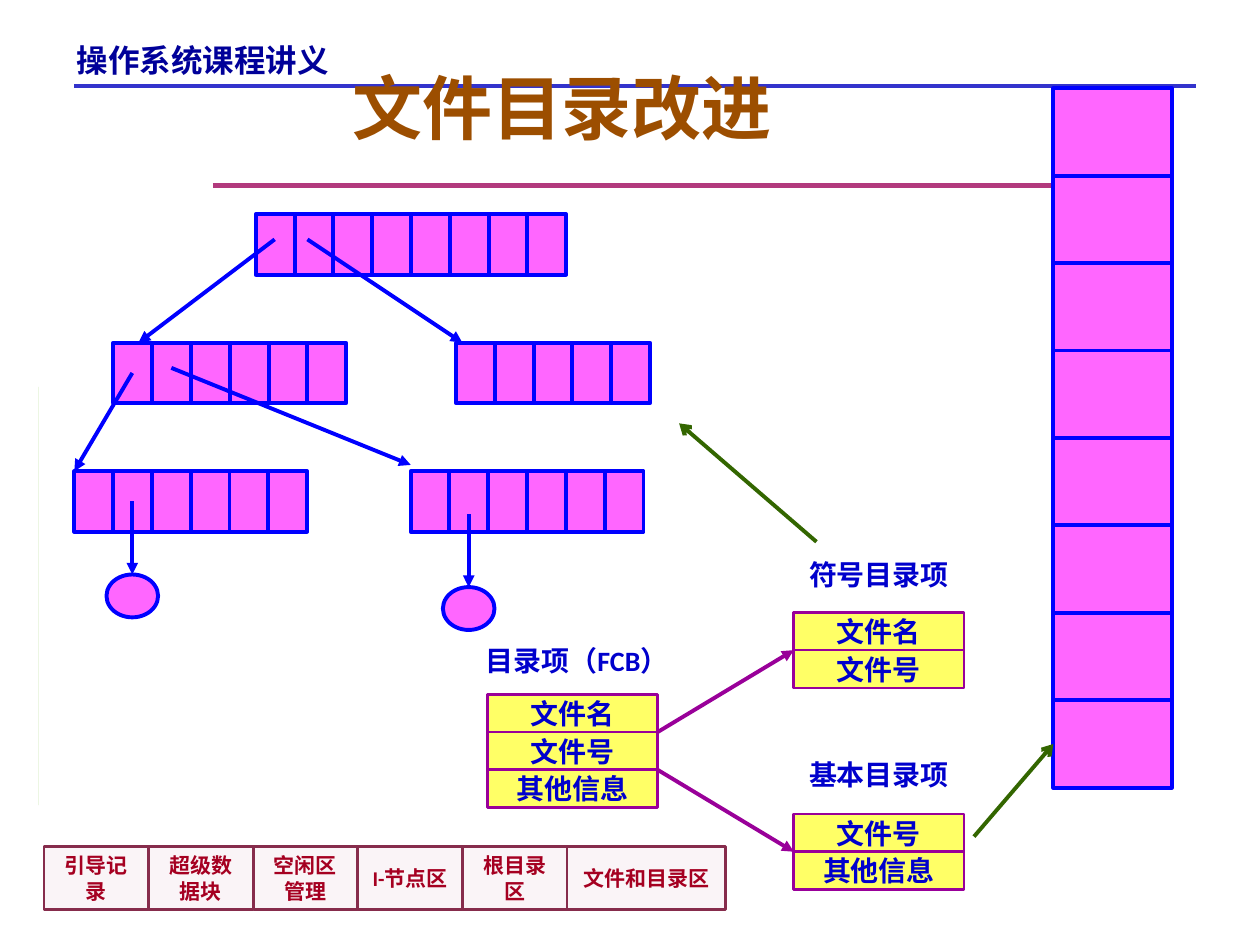
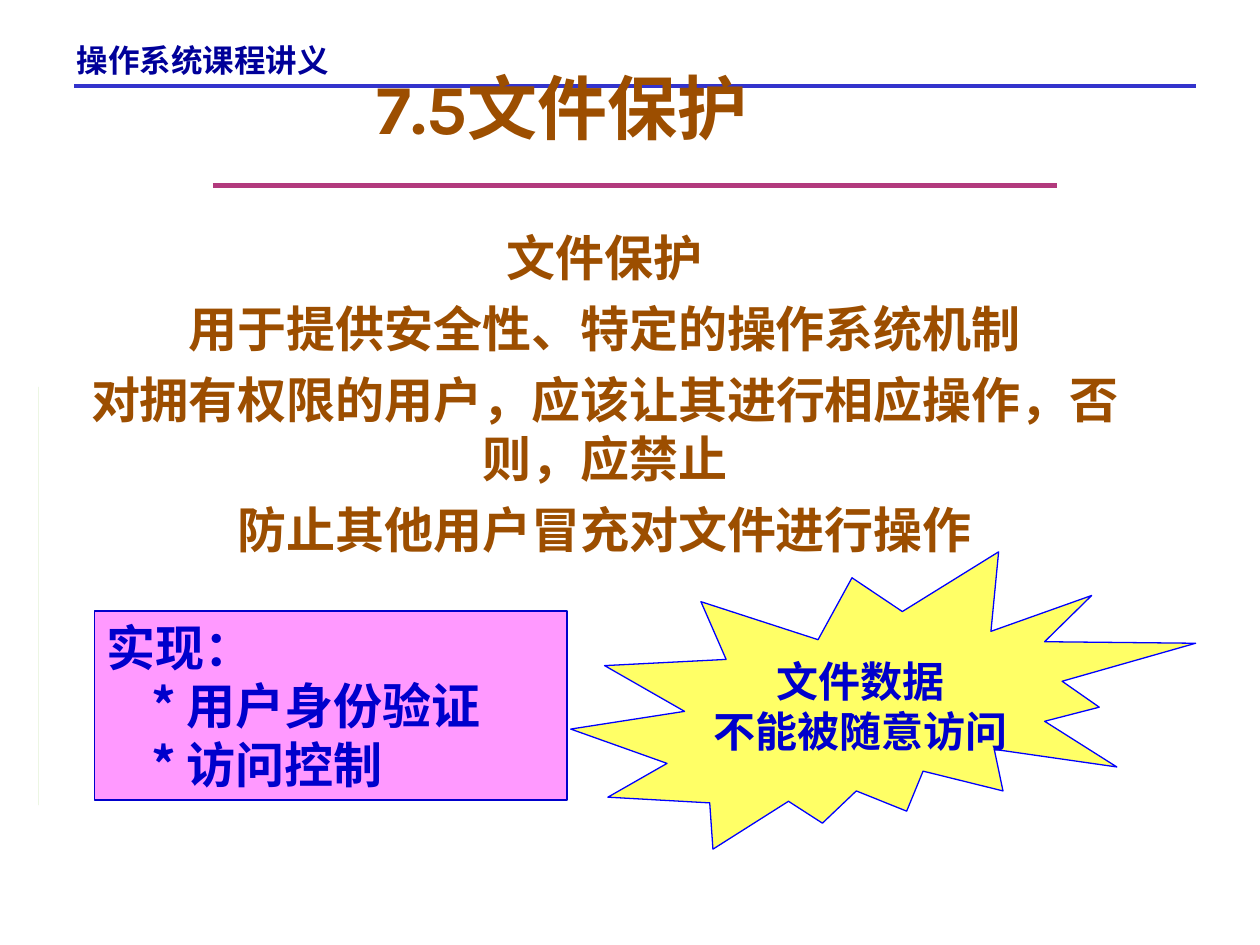
from typing import NamedTuple, Optional, Sequence

from lxml import etree
from pptx import Presentation
from pptx.dml.color import RGBColor
from pptx.enum.shapes import MSO_CONNECTOR, MSO_SHAPE
from pptx.enum.text import MSO_ANCHOR, PP_ALIGN
from pptx.oxml.ns import qn
from pptx.util import Inches, Pt

# Shared colours and fonts
BROWN = RGBColor(0x9C, 0x4E, 0x00)
NAVY = RGBColor(0x00, 0x00, 0x99)
INK = RGBColor(0x00, 0x00, 0xCC)
BLUE = RGBColor(0x00, 0x00, 0xFF)
RULE = RGBColor(0x33, 0x33, 0xCC)
ROSE = RGBColor(0xB2, 0x3A, 0x7D)
LEAF = RGBColor(0x6B, 0xBA, 0x27)
PINK = RGBColor(0xFF, 0x66, 0xFF)
LIGHT_PINK = RGBColor(0xFF, 0x99, 0xFF)
YELLOW = RGBColor(0xFF, 0xFF, 0x66)
PURPLE = RGBColor(0x99, 0x00, 0x99)
GREEN = RGBColor(0x33, 0x66, 0x00)
PALE = RGBColor(0xFA, 0xF4, 0xF7)
MAROON = RGBColor(0x86, 0x2C, 0x4C)
RED = RGBColor(0xA5, 0x00, 0x21)
CJK = "Noto Sans CJK SC"


class TextStyle(NamedTuple):
    size: float
    color: RGBColor
    font: str = "Calibri"
    align: PP_ALIGN = PP_ALIGN.CENTER
    anchor: MSO_ANCHOR = MSO_ANCHOR.MIDDLE
    wrap: bool = True
    space_before: float = 0


class Look(NamedTuple):
    fill: RGBColor
    line: RGBColor
    width: float


class Box(NamedTuple):
    left: float
    top: float
    width: float
    height: float


class Row(NamedTuple):
    left: float
    top: float
    cells: int


class Arrow(NamedTuple):
    x1: float
    y1: float
    x2: float
    y2: float


class Record(NamedTuple):
    left: float
    top: float
    fields: Sequence[str]


HEADER = TextStyle(18, NAVY, "Arial", PP_ALIGN.LEFT, MSO_ANCHOR.TOP)
TITLE = TextStyle(40, BROWN, anchor=MSO_ANCHOR.BOTTOM)
BODY = TextStyle(28, BROWN, anchor=MSO_ANCHOR.TOP, space_before=7)
LABEL = TextStyle(16, INK, anchor=MSO_ANCHOR.TOP, wrap=False)
FIELD = LABEL._replace(anchor=MSO_ANCHOR.MIDDLE)
AREA = TextStyle(12, RED)
NOTE = TextStyle(28, INK, CJK, PP_ALIGN.LEFT, MSO_ANCHOR.TOP)
BURST = TextStyle(24, INK, CJK, wrap=False)

NODE = Look(PINK, BLUE, 2.25)
RECORD = Look(YELLOW, PURPLE, 1.5)
DISK = Look(PALE, MAROON, 1.5)


def write(sp, lines: Sequence[str], style: TextStyle):
    """Fill a shape with paragraphs in one style."""
    tf = sp.text_frame
    tf.word_wrap = style.wrap
    tf.vertical_anchor = style.anchor
    tf.text = "\n".join(lines)
    for i, p in enumerate(tf.paragraphs):
        p.alignment = style.align
        p.line_spacing = Pt(style.size * 1.2)
        if i and style.space_before:
            p.space_before = Pt(style.space_before)
        for r in p.runs:
            r.font.size = Pt(style.size)
            r.font.bold = True
            r.font.name = style.font
            r.font.color.rgb = style.color
            ea = etree.SubElement(r.font._element, qn("a:ea"))
            ea.set("typeface", CJK)
    return sp


def add_text(s, box: Box, lines: Sequence[str], style: TextStyle):
    return write(s.shapes.add_textbox(*map(Inches, box)), lines, style)


def add_block(s, box: Box, look: Look, lines: Sequence[str] = (),
              style: Optional[TextStyle] = None, kind=MSO_SHAPE.RECTANGLE):
    sp = s.shapes.add_shape(kind, *map(Inches, box))
    sp.shadow.inherit = False
    sp.fill.solid()
    sp.fill.fore_color.rgb = look.fill
    sp.line.color.rgb = look.line
    sp.line.width = Pt(look.width)
    if style:
        write(sp, lines, style)
    return sp


def add_line(s, ends: Arrow, color: RGBColor, width: float = 2.25, head: str = ""):
    cn = s.shapes.add_connector(MSO_CONNECTOR.STRAIGHT, *map(Inches, ends))
    cn.line.color.rgb = color
    cn.line.width = Pt(width)
    if head:
        etree.SubElement(cn.line._get_or_add_ln(), qn("a:tailEnd")).set("type", head)
    etree.SubElement(cn._element.spPr, qn("a:effectLst"))
    return cn


def add_frame(prs, title: str, style: TextStyle = TITLE):
    """Start a slide with the course header, rules and title."""
    s = prs.slides.add_slide(prs.slide_layouts[6])
    edge = s.shapes.build_freeform(Inches(0.31), Inches(3.07))
    edge.add_line_segments([(Inches(0.31), Inches(y)) for y in (3.17, 6.39)])
    sp = edge.convert_to_shape()
    sp.shadow.inherit = False
    sp.fill.solid()
    sp.fill.fore_color.rgb = LEAF
    sp.line.fill.background()
    add_line(s, Arrow(0.59, 0.68, 9.49, 0.68), RULE)
    add_text(s, Box(0.51, 0.28, 2.44, 0.24), ["操作系统课程讲义"], HEADER)
    add_line(s, Arrow(1.69, 1.47, 8.39, 1.47), ROSE, 3)
    add_text(s, Box(0.5, 0.35, 7.92, 0.88), [title], style)
    return s


def build_directory(prs):
    s = add_frame(prs, "文件目录改进")

    # Directory tree: rows of cells, then pointers
    cell_w, cell_h = 0.308, 0.48
    for row in (Row(2.03, 1.7, 8), Row(0.9, 2.72, 6), Row(3.62, 2.72, 5),
                Row(0.59, 3.74, 6), Row(3.26, 3.74, 6)):
        for i in range(row.cells):
            add_block(s, Box(row.left + i * cell_w, row.top, cell_w, cell_h), NODE)
    for pointer in (Arrow(2.18, 1.9, 1.1, 2.72), Arrow(2.44, 1.9, 3.67, 2.72),
                    Arrow(1.05, 2.96, 0.59, 3.74), Arrow(1.36, 2.92, 3.26, 3.69)):
        add_line(s, pointer, BLUE, head="triangle")

    # Files at the leaves
    for x, y in ((3.72, 4.08), (1.05, 3.98)):
        leaf = add_block(s, Box(x - 0.205, y + 0.58, 0.41, 0.34), NODE,
                         kind=MSO_SHAPE.OVAL)
        cn = add_line(s, Arrow(x, y, x, y + 0.58), BLUE, head="triangle")
        cn.end_connect(leaf, 0)

    # Column of basic directory entries
    entry_h = 0.694
    entries = [add_block(s, Box(8.36, 0.7 + i * entry_h, 0.94, entry_h), NODE)
               for i in range(8)]

    # Directory entry split into two records
    for box, label in ((Box(3.7, 5.06, 1.76, 0.37), "目录项（FCB）"),
                       (Box(6.32, 4.38, 1.31, 0.37), "符号目录项"),
                       (Box(6.32, 5.96, 1.31, 0.37), "基本目录项")):
        add_text(s, box, [label], LABEL)
    for record in (Record(3.87, 5.51, ("文件名", "文件号", "其他信息")),
                   Record(6.3, 4.86, ("文件名", "文件号")),
                   Record(6.3, 6.46, ("文件号", "其他信息"))):
        for i, field in enumerate(record.fields):
            add_block(s, Box(record.left, record.top + i * 0.3, 1.35, 0.3),
                      RECORD, [field], FIELD)
    add_line(s, Arrow(5.22, 5.81, 6.3, 5.16), PURPLE, head="triangle")
    add_line(s, Arrow(5.22, 6.11, 6.3, 6.76), PURPLE, head="triangle")
    add_line(s, Arrow(6.48, 4.3, 5.39, 3.36), GREEN, head="arrow")
    to_entry = add_line(s, Arrow(7.73, 6.64, 8.36, 5.9), GREEN, head="arrow")
    to_entry.end_connect(entries[-1], 1)

    # Disk layout strip
    areas = ("引导记录", "超级数据块", "空闲区管理", "I-节点区", "根目录区", "文件和目录区")
    for i, area in enumerate(areas):
        width = 1.26 if area == areas[-1] else 0.83
        add_block(s, Box(0.35 + i * 0.83, 6.72, width, 0.5), DISK, [area], AREA)


def build_protection(prs):
    s = add_frame(prs, "7.5文件保护", TITLE._replace(font="Karla"))
    add_text(s, Box(0.5, 1.76, 8.6, 5.3), [
        "文件保护",
        "用于提供安全性、特定的操作系统机制",
        "对拥有权限的用户，应该让其进行相应操作，否则，应禁止",
        "防止其他用户冒充对文件进行操作",
    ], BODY)

    # Implementation box with indented items
    note = add_block(s, Box(0.75, 4.85, 3.75, 1.5), Look(LIGHT_PINK, INK, 0.75),
                     ["实现：", "* 用户身份验证", "* 访问控制"], NOTE)
    for p in note.text_frame.paragraphs[1:]:
        p._p.get_or_add_pPr().set("marL", str(Inches(0.35)))

    # Burst
    add_block(s, Box(4.53, 4.38, 4.96, 2.36), Look(YELLOW, BLUE, 0.75),
              ["文件数据", "不能被随意访问"], BURST, MSO_SHAPE.EXPLOSION2)


def main():
    prs = Presentation()
    prs.slide_width, prs.slide_height = Inches(10), Inches(7.5)
    build_directory(prs)
    build_protection(prs)
    prs.save("out.pptx")


if __name__ == "__main__":
    main()
